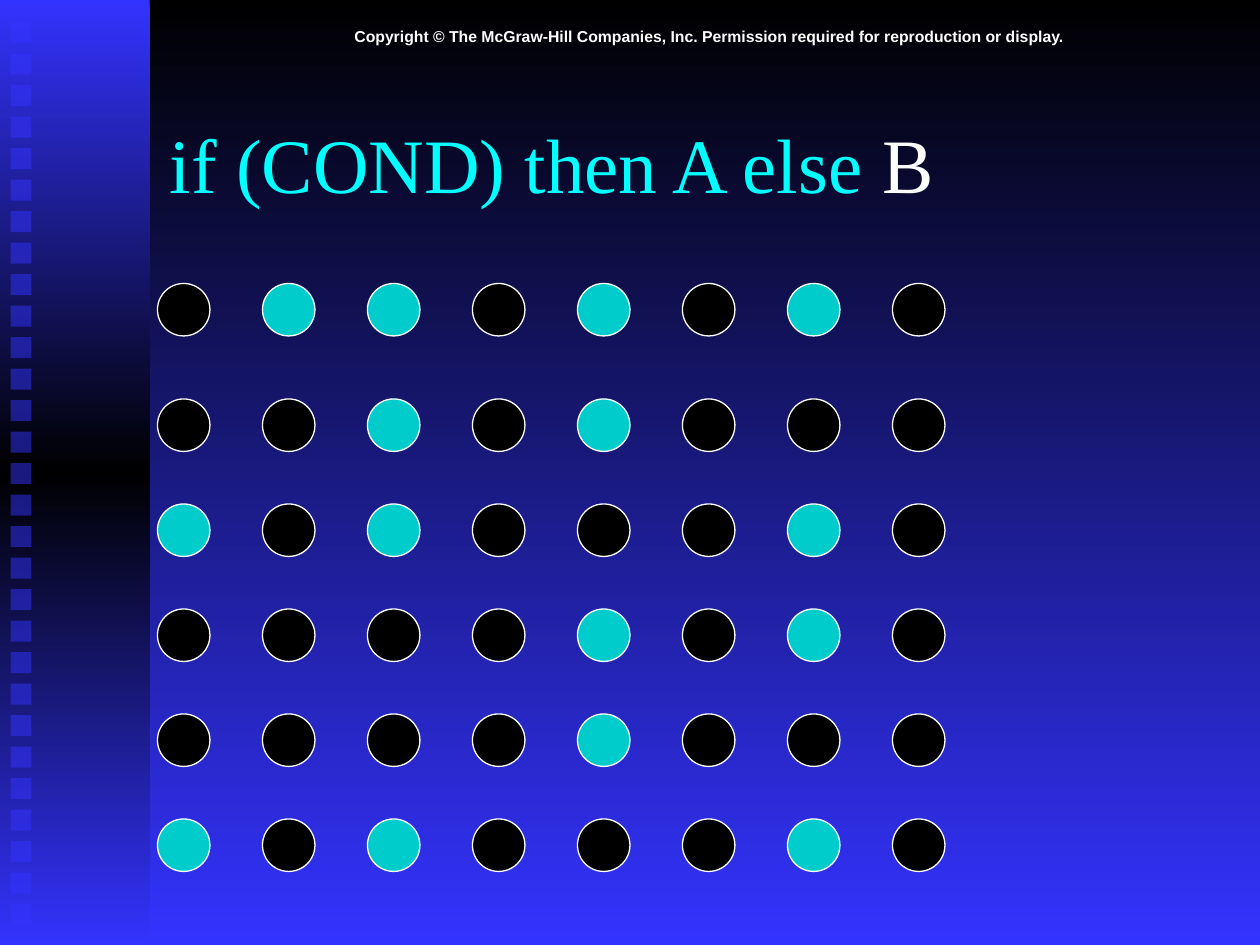
"""Build a slide showing which lanes are active through a conditional."""
from copy import deepcopy

from lxml.etree import SubElement
from pptx import Presentation
from pptx.dml.color import RGBColor
from pptx.enum.shapes import MSO_SHAPE
from pptx.enum.text import MSO_ANCHOR, PP_ALIGN
from pptx.oxml.ns import qn
from pptx.util import Inches, Pt

BLACK = RGBColor(0x00, 0x00, 0x00)
WHITE = RGBColor(0xFF, 0xFF, 0xFF)
BLUE = RGBColor(0x33, 0x33, 0xFF)
CYAN = RGBColor(0x00, 0xFF, 0xFF)
TEAL = RGBColor(0x00, 0xCC, 0xCC)

LANE_ROWS = [
    (27, ".##.#.#."),
    (38, "..#.#..."),
    (48, "#.#...#."),
    (58, "....#.#."),
    (68, "....#..."),
    (78, "#.#...#."),
]

presentation = Presentation()
presentation.slide_width = Inches(10)
presentation.slide_height = Inches(7.5)
UNIT = presentation.slide_width / 120
slide = presentation.slides.add_slide(presentation.slide_layouts[6])


def place(*grid_units):
    return [round(value * UNIT) for value in grid_units]


def color_gradient(fill, colors):
    fill.gradient_angle = 270
    for index, (stop, color) in enumerate(zip(fill.gradient_stops, colors)):
        stop.color.rgb = color
        stop.position = index / (len(colors) - 1)


background_fill = slide.background.fill
background_fill.gradient()
color_gradient(background_fill, [BLACK, BLUE])

sidebar = slide.shapes.add_group_shape()
band = sidebar.shapes.add_shape(MSO_SHAPE.RECTANGLE, *place(0, 0, 14.25, 90))
band.shadow.inherit = False
band.line.fill.background()
band.fill.gradient()
stop_list = band._element.spPr.find(".//" + qn("a:gsLst"))
stop_list.insert(1, deepcopy(stop_list[0]))
color_gradient(band.fill, [BLUE, BLACK, BLUE])

for row in range(29):
    square = sidebar.shapes.add_shape(MSO_SHAPE.RECTANGLE, *place(1, 2.1 + 3 * row, 2, 2))
    square.shadow.inherit = False
    square.line.fill.background()
    square.fill.solid()
    square.fill.fore_color.rgb = BLUE
    color_element = square._element.spPr.find(".//" + qn("a:srgbClr"))
    SubElement(color_element, qn("a:alpha")).set("val", "50000")

copyright_box = slide.shapes.add_textbox(*place(15, 2, 105, 3))
copyright_box.text_frame.word_wrap = True
paragraph = copyright_box.text_frame.paragraphs[0]
paragraph.text = (
    "Copyright © The McGraw-Hill Companies, Inc. "
    "Permission required for reproduction or display."
)
paragraph.alignment = PP_ALIGN.CENTER
paragraph.font.name = "Arial"
paragraph.font.size = Pt(9)
paragraph.font.bold = True
paragraph.font.color.rgb = WHITE

title_box = slide.shapes.add_textbox(*place(15, 8, 102, 15))
title_box.text_frame.word_wrap = True
title_box.text_frame.vertical_anchor = MSO_ANCHOR.MIDDLE
paragraph = title_box.text_frame.paragraphs[0]
paragraph.font.name = "Times New Roman"
paragraph.font.size = Pt(44)
for text, color in [("if (COND) then A else ", CYAN), ("B", WHITE)]:
    run = paragraph.add_run()
    run.text = text
    run.font.color.rgb = color

lanes = slide.shapes.add_group_shape()
for top, states in LANE_ROWS:
    for column, state in enumerate(states):
        lane = lanes.shapes.add_shape(MSO_SHAPE.OVAL, *place(15 + 10 * column, top, 5, 5))
        lane.shadow.inherit = False
        lane.fill.solid()
        lane.fill.fore_color.rgb = TEAL if state == "#" else BLACK
        lane.line.color.rgb = WHITE
        lane.line.width = Pt(0.75)

presentation.save("out.pptx")
